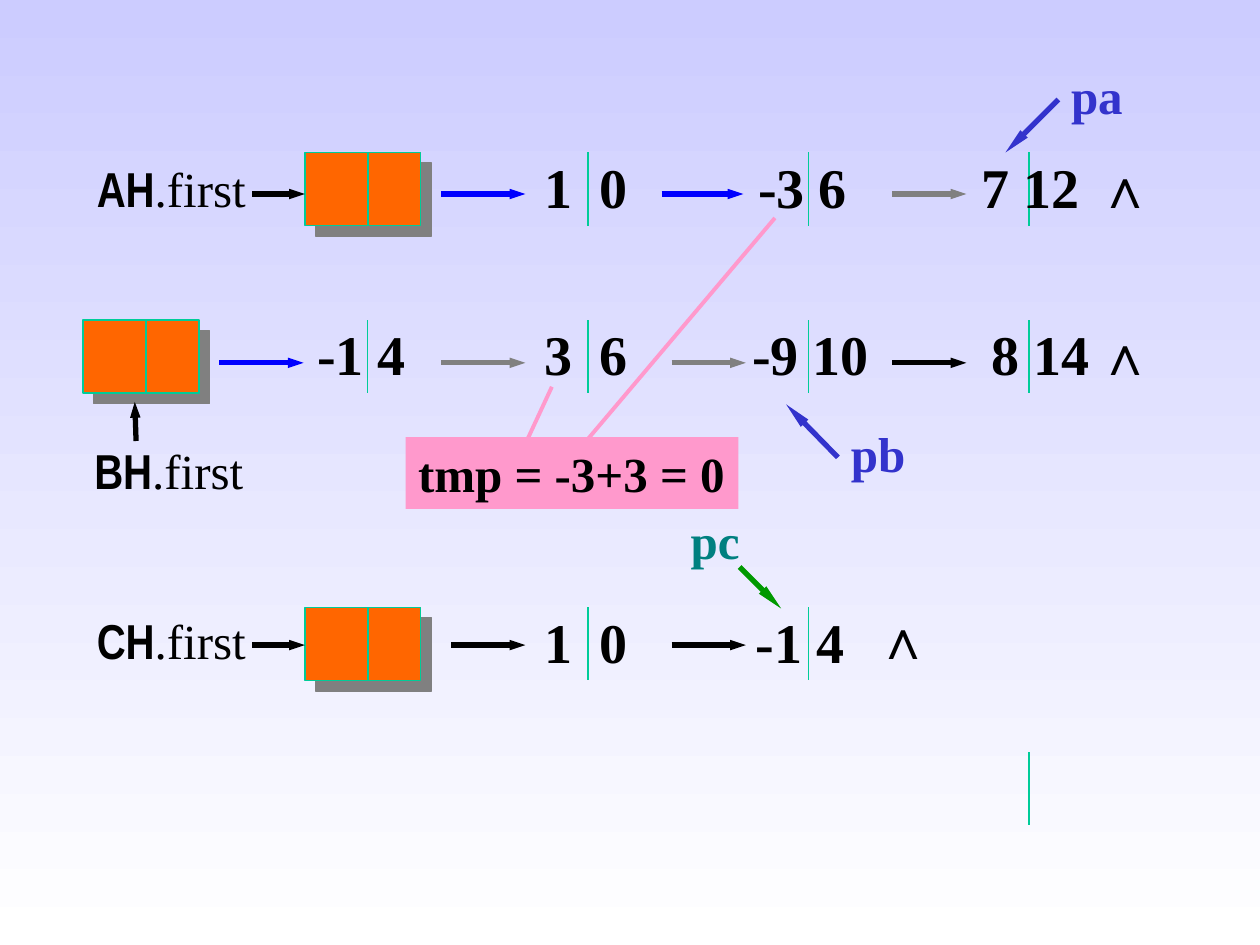
from dataclasses import dataclass
from lxml import etree
from pptx import Presentation
from pptx.dml.color import RGBColor
from pptx.enum.shapes import MSO_CONNECTOR, MSO_SHAPE
from pptx.enum.text import MSO_ANCHOR, MSO_AUTO_SIZE, PP_ALIGN
from pptx.oxml.ns import qn
from pptx.util import Inches, Pt

LINE = MSO_CONNECTOR.STRAIGHT
RECT = MSO_SHAPE.RECTANGLE
GROW = MSO_AUTO_SIZE.SHAPE_TO_FIT_TEXT
TOP, MIDDLE = MSO_ANCHOR.TOP, MSO_ANCHOR.MIDDLE
LEFT, CENTER = PP_ALIGN.LEFT, PP_ALIGN.CENTER

SERIF, SANS = "Times New Roman", "Arial Narrow"
BLACK, GRAY, BLUE = "000000", "808080", "0000FF"
GREEN, ORANGE, PINK = "00CC99", "FF6600", "FF99CC"
INDIGO, TEAL, LEAF = "3333CC", "008080", "009900"

COL, STEP = 35 / 12, 1.75  # first divider and distance between nodes
NODE_W, NODE_H = 0.92, 0.58
TAB = 0.44  # gap between coefficient and exponent


@dataclass
class Node:
    text: str
    left: float
    width: float


@dataclass
class Arrow:
    start: float
    end: float
    color: str = BLACK


@dataclass
class Row:
    top: float
    mid: float  # height of the arrows
    head: float  # left of the head node
    cols: range  # columns of the dividers
    name: str
    spot: tuple[float, float]  # place of the name
    nodes: list[Node]
    arrows: list[Arrow]
    end: tuple[float, float]  # place of the end mark


@dataclass
class Pointer:
    text: str
    left: float
    top: float
    width: float
    color: str
    line: tuple[float, float, float, float]
    ink: str


ROWS = [
    Row(1.21, 1.54, 2.42, range(1, 4), "AH", (0.67, 1.21),
        [Node("1\t0", 4.22, 0.87), Node("-3 6", 5.92, 0.95),
         Node("7 12", 7.69, 1)],
        [Arrow(2, 2.42), Arrow(3.5, 4.17, BLUE), Arrow(5.25, 5.9, BLUE),
         Arrow(7.08, 7.67, GRAY)], (8.61, 1.16)),
    Row(2.54, 2.88, 0.66, range(4), "BH", (0.65, 3.45),
        [Node("-1 4", 2.42, 0.95), Node("3\t6", 4.22, 0.87),
         Node("-9 10", 5.87, 1.15), Node("8 14", 7.77, 1)],
        [Arrow(1.74, 2.41, BLUE), Arrow(3.5, 4.17, GRAY),
         Arrow(5.33, 5.92, GRAY), Arrow(7.08, 7.67)], (8.61, 2.49)),
    Row(4.82, 5.12, 2.42, range(1, 3), "CH", (0.67, 4.8),
        [Node("1\t0", 4.22, 0.87), Node("-1 4", 5.9, 0.95)],
        [Arrow(2, 2.42), Arrow(3.58, 4.17), Arrow(5.33, 5.92)], (6.85, 4.74)),
]

POINTERS = [
    Pointer("pa", 8.4, 0.47, 0.61, INDIGO, (8.4, 0.79, 7.98, 1.21), INDIGO),
    Pointer("pb", 6.65, 3.31, 0.64, INDIGO, (6.65, 3.63, 6.24, 3.21), INDIGO),
    Pointer("pc", 5.38, 4, 0.59, TEAL, (5.87, 4.5, 6.2, 4.83), LEAF),
]


def rgb(code: str) -> RGBColor:
    return RGBColor.from_string(code)


def style(font, size: float, color: str, bold: bool = True, name: str = SERIF):
    font.size, font.bold, font.name = Pt(size), bold, name
    font.color.rgb = rgb(color)


def add_line(x1: float, y1: float, x2: float, y2: float, color: str,
             width: float, head: str = ""):
    """Draw a line; head is the length of its arrowhead, if any."""
    line = slide.shapes.add_connector(
        LINE, Inches(x1), Inches(y1), Inches(x2), Inches(y2))
    line.line.color.rgb = rgb(color)
    line.line.width = Pt(width)
    props = line._element.spPr
    if head:
        etree.SubElement(props.find(qn("a:ln")), qn("a:tailEnd"),
                         type="triangle", w="sm", len=head)
    etree.SubElement(props, qn("a:effectLst"))


def add_rule(left: float, top: float):
    add_line(left, top, left, top + NODE_H, GREEN, 0.75)


def add_rect(left: float, top: float, width: float, height: float, fill: str):
    rect = slide.shapes.add_shape(
        RECT, Inches(left), Inches(top), Inches(width), Inches(height))
    rect.shadow.inherit = False
    rect.fill.solid()
    rect.fill.fore_color.rgb = rgb(fill)
    return rect


def add_head(left: float, top: float):
    rect = add_rect(left, top, NODE_W, NODE_H, ORANGE)
    rect.line.color.rgb = rgb(GREEN)
    rect.line.width = Pt(0.75)
    fx = rect._element.spPr.find(qn("a:effectLst"))
    shade = etree.SubElement(fx, qn("a:outerShdw"), dist=str(Pt(8.5)),
                             dir="2700000", algn="ctr", rotWithShape="0")
    etree.SubElement(shade, qn("a:srgbClr"), val=GRAY)
    add_rule(left + 0.5, top)


def set_frame(shape):
    frame = shape.text_frame
    frame.word_wrap = False
    frame.auto_size = GROW
    return frame


def add_text(text: str, left: float, top: float, width: float, size: float,
             color: str = BLACK):
    height = 0.63 if size > 28 else 0.57
    box = slide.shapes.add_textbox(
        Inches(left), Inches(top), Inches(width), Inches(height))
    frame = set_frame(box)
    para = frame.paragraphs[0]
    para.text = text
    if "\t" in text:
        tabs = etree.SubElement(para._p.get_or_add_pPr(), qn("a:tabLst"))
        etree.SubElement(tabs, qn("a:tab"), pos=str(Inches(TAB)), algn="l")
    style(para.font, size, color)
    return frame


def add_name(name: str, left: float, top: float):
    para = add_text("", left, top, 1.39, 28).paragraphs[0]
    for text, bold, face in ((name, True, SANS), (".first", False, SERIF)):
        run = para.add_run()
        run.text = text
        style(run.font, 28, BLACK, bold, face)


def add_row(row: Row):
    add_head(row.head, row.top)
    add_name(row.name, *row.spot)
    for col in row.cols:
        add_rule(COL + col * STEP, row.top)
    for arrow in row.arrows:
        add_line(arrow.start, row.mid, arrow.end, row.mid, arrow.color, 3, "med")
    for node in row.nodes:
        add_text(node.text, node.left, row.top - 0.05, node.width, 32)
    add_text("∧", *row.end, 0.47, 32)


def add_pointer(item: Pointer):
    add_line(*item.line, item.ink, 3, "lg")
    frame = add_text(item.text, item.left, item.top, item.width, 28, item.color)
    frame.vertical_anchor = MIDDLE
    frame.paragraphs[0].alignment = CENTER


deck = Presentation()
deck.slide_width, deck.slide_height = Inches(10), Inches(7.5)
slide = deck.slides.add_slide(deck.slide_layouts[6])

# Background
back = slide.background.fill
back.gradient()
back.gradient_angle = 270
for stop, code in zip(back.gradient_stops, ("CCCCFF", "FFFFFF")):
    stop.color.rgb = rgb(code)

# Linked lists and their pointers
for row in ROWS:
    add_row(row)
for item in POINTERS:
    add_pointer(item)
add_line(1.08, 3.5, 1.07, 3.19, BLACK, 3, "med")
add_rule(COL + 3 * STEP, 5.97)

# Sum of the two coefficients
note = add_rect(3.22, 3.47, 2.64, 0.57, PINK)
note.line.fill.background()
frame = set_frame(note)
frame.vertical_anchor = TOP
para = frame.paragraphs[0]
para.text = "tmp = -3+3 = 0"
para.alignment = LEFT
style(para.font, 28, BLACK)
add_line(4.18, 3.5, 4.38, 3.07, PINK, 2.25)
add_line(4.67, 3.48, 6.15, 1.73, PINK, 2.25)

deck.save("out.pptx")
